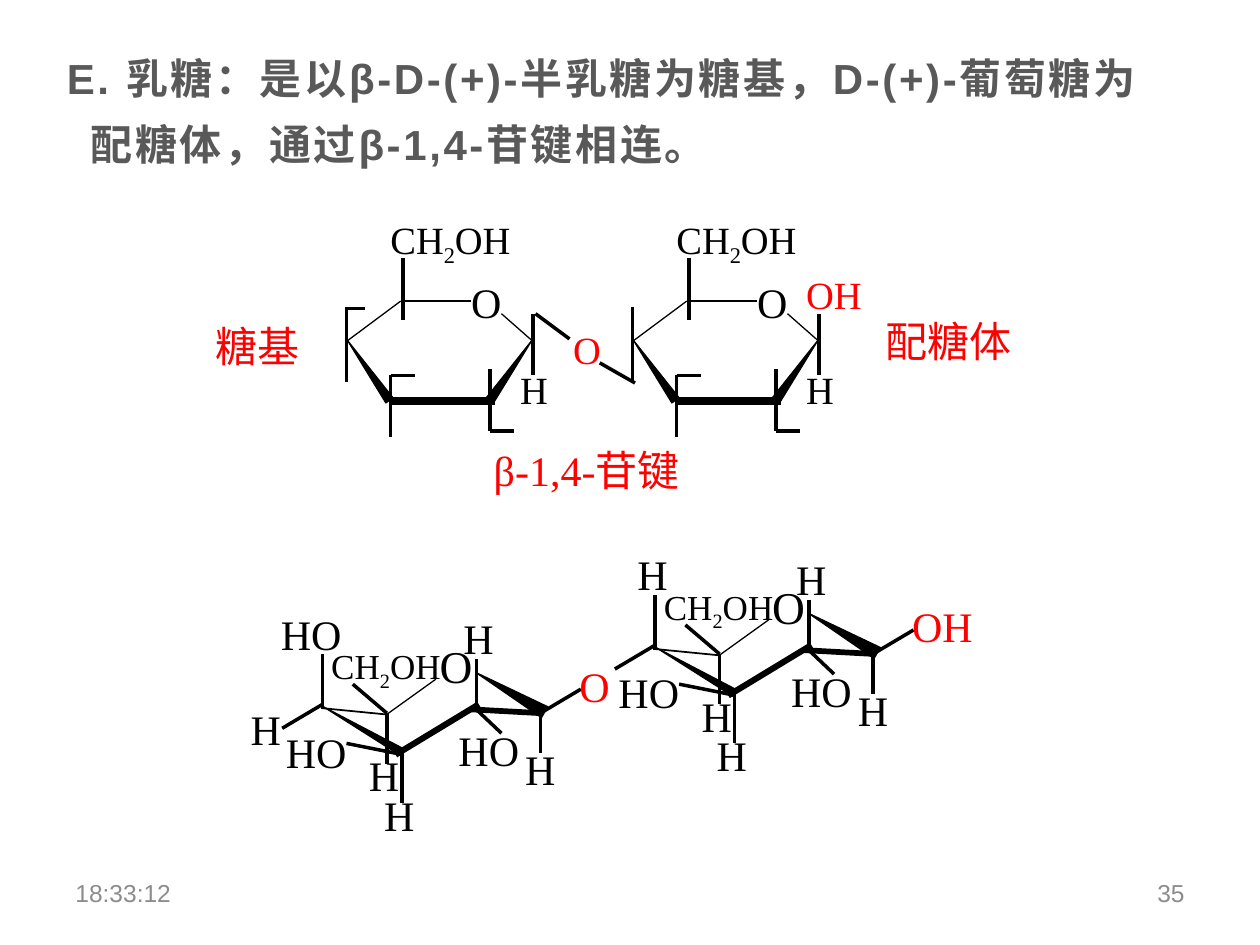
from dataclasses import dataclass

from lxml import etree
from pptx import Presentation
from pptx import util as u
from pptx.dml import color
from pptx.enum import shapes, text
from pptx.oxml import ns

Inches = u.Inches


@dataclass
class Theme:
    black: str = "000000"
    red: str = "FF0000"
    heading: str = "595959"
    footer: str = "8C8C8C"
    sans: str = "Arial"
    serif: str = "Times New Roman"
    body_size: int = 24
    ring_size: int = 22
    small_size: int = 20
    oxygen_size: int = 26
    footer_size: int = 14


theme = Theme()


def add_label(container, runs, left, top, width, size, tint=theme.black):
    height = 0.1 + size / 75
    label = container.shapes.add_textbox(Inches(left), Inches(top), Inches(width), Inches(height))
    label.text_frame.word_wrap = True
    paragraph = label.text_frame.paragraphs[0]
    paragraph.line_spacing = 0.8
    for content in runs:
        run = paragraph.add_run()
        run.text = content
        run.font.name = theme.serif
        run.font.size = u.Pt(size)
        run.font.color.rgb = color.RGBColor.from_string(tint)
        if content == "2":
            run.font._element.set("baseline", "-25000")


def add_bond(container, x1, y1, x2, y2, weight=2):
    bond = container.shapes.add_connector(
        shapes.MSO_CONNECTOR.STRAIGHT, Inches(x1), Inches(y1), Inches(x2), Inches(y2))
    bond.line.color.rgb = color.RGBColor.from_string(theme.black)
    bond.line.width = u.Pt(weight)
    etree.SubElement(bond._element.spPr, ns.qn("a:effectLst"))


presentation = Presentation()
presentation.slide_width = Inches(10)
presentation.slide_height = Inches(7.5)
slide = presentation.slides.add_slide(presentation.slide_layouts[1])
title = slide.shapes.title
title._element.getparent().remove(title._element)

body = slide.placeholders[1]
body.left, body.top, body.width, body.height = Inches(0.43), Inches(0.25), Inches(9), Inches(1.14)
body.text_frame.auto_size = text.MSO_AUTO_SIZE.NONE
paragraph = body.text_frame.paragraphs[0]
paragraph.line_spacing = 1.3
paragraph.space_before = u.Pt(0)
paragraph.space_after = u.Pt(10)
properties = paragraph._p.get_or_add_pPr()
properties.set("marL", str(Inches(0.19)))
properties.set("indent", str(Inches(-0.19)))
etree.SubElement(properties, ns.qn("a:buNone"))
run = paragraph.add_run()
run.text = "E. 乳糖：是以β-D-(+)-半乳糖为糖基，D-(+)-葡萄糖为配糖体，通过β-1,4-苷键相连。"
run.font.name = theme.sans
run.font.size = u.Pt(theme.body_size)
run.font.bold = True
run.font.color.rgb = color.RGBColor.from_string(theme.heading)
run.font._element.set("spc", "150")

hydroxymethyl = ["CH", "2", "OH"]

haworth = {
    "offsets": [(0, 0), (2.27, 0)],
    "wedges": [(2.89, 2.65, 0.07, 0.58, 325), (4.02, 2.65, 0.07, 0.58, 35)],
    "bonds": [
        (3.1, 3.18, 3.93, 3.18, 4.5),
        (2.75, 2.71, 3.18, 2.39, 0.75),
        (4.23, 2.71, 3.98, 2.49, 0.75),
        (3.18, 2.39, 3.74, 2.39, 1),
        (3.2, 2.05, 3.2, 2.54),
        (2.75, 2.44, 2.75, 3.03),
        (3.1, 2.98, 3.1, 3.47),
        (3.89, 2.93, 3.89, 3.42),
        (4.23, 2.49, 4.23, 2.98),
        (3.89, 3.42, 4.08, 3.42),
        (3.1, 2.98, 3.29, 2.98),
    ],
    "labels": [
        (hydroxymethyl, 3, 1.7, 1.18, theme.ring_size),
        (["H"], 4.03, 2.93, 0.39, theme.ring_size),
        (["O"], 3.64, 2.22, 0.41, theme.body_size),
    ],
    "linking_bonds": [
        (2.75, 2.45, 2.9, 2.45),
        (4.25, 2.49, 4.52, 2.69),
        (4.76, 2.88, 5.04, 3.04),
    ],
    "linking_labels": [
        (["O"], 4.45, 2.61, 0.39, theme.ring_size, theme.red),
        (["OH"], 6.3, 2.17, 0.71, theme.ring_size, theme.red),
    ],
}

chair = {
    "offsets": [(0, 0), (2.64, -0.47)],
    "wedges": [(4, 5.18, 0.1, 0.63, 300), (2.85, 5.43, 0.06, 0.72, 300)],
    "bonds": [
        (3.46, 5.39, 3.07, 5.67, 0.75),
        (3.14, 5.99, 3.8, 5.59, 3.5),
        (2.55, 5.62, 3.06, 5.67, 1),
        (4.29, 5.66, 3.74, 5.63, 3.25),
        (2.56, 5.19, 2.56, 5.63),
        (3.78, 5.23, 3.78, 5.63),
        (4.29, 5.66, 4.29, 5.98),
        (3.19, 5.98, 3.19, 6.37),
        (3.07, 5.66, 3.07, 6.06),
        (4.29, 5.66, 4.61, 5.47),
        (2.24, 5.78, 2.56, 5.59),
        (3.78, 5.63, 3.98, 5.82),
        (3.07, 5.66, 2.8, 5.43),
        (3.15, 5.98, 2.75, 5.9),
    ],
    "labels": [
        (hydroxymethyl, 2.53, 5.1, 1.08, theme.small_size),
        (["O"], 3.39, 5.1, 0.44, theme.oxygen_size),
        (["H"], 2.83, 5.98, 0.47, theme.body_size),
        (["H"], 2.95, 6.29, 0.47, theme.body_size),
        (["H"], 3.58, 4.89, 0.47, theme.body_size),
        (["H"], 4.07, 5.93, 0.47, theme.body_size),
        (["HO"], 2.17, 5.79, 0.75, theme.body_size),
        (["HO"], 3.54, 5.78, 0.75, theme.body_size),
    ],
    "linking_bonds": [],
    "linking_labels": [
        (["H"], 1.89, 5.61, 0.47, theme.body_size),
        (["HO"], 2.13, 4.86, 0.75, theme.body_size),
        (["H"], 4.96, 4.38, 0.47, theme.body_size),
        (["O"], 4.5, 5.27, 0.75, theme.body_size, theme.red),
        (["OH"], 7.14, 4.79, 0.75, theme.body_size, theme.red),
    ],
}

for structure in (haworth, chair):
    group = slide.shapes.add_group_shape()
    for dx, dy in structure["offsets"]:
        for left, top, width, height, angle in structure["wedges"]:
            wedge = group.shapes.add_shape(
                shapes.MSO_SHAPE.ISOSCELES_TRIANGLE,
                Inches(left + dx), Inches(top + dy), Inches(width), Inches(height))
            wedge.rotation = angle
            wedge.shadow.inherit = False
            wedge.fill.solid()
            wedge.fill.fore_color.rgb = color.RGBColor.from_string(theme.black)
            wedge.line.color.rgb = color.RGBColor.from_string(theme.black)
            wedge.line.width = u.Pt(0.75)
        for x1, y1, x2, y2, *weight in structure["bonds"]:
            add_bond(group, x1 + dx, y1 + dy, x2 + dx, y2 + dy, *weight)
        for runs, left, top, width, size in structure["labels"]:
            add_label(group, runs, left + dx, top + dy, width, size)
    for bond in structure["linking_bonds"]:
        add_bond(group, *bond)
    for label in structure["linking_labels"]:
        add_label(group, *label)

for caption, left, top, width in [
    ("β-1,4-苷键", 3.82, 3.56, 1.89),
    ("糖基", 1.61, 2.57, 1.02),
    ("配糖体", 6.93, 2.53, 1.26),
]:
    add_label(slide, [caption], left, top, width, theme.body_size, theme.red)

for content, left, alignment in [
    ("18:33:12", 0.5, text.PP_ALIGN.LEFT),
    ("35", 7.28, text.PP_ALIGN.RIGHT),
]:
    footer = slide.shapes.add_textbox(Inches(left), Inches(6.91), Inches(2.22), Inches(0.35))
    footer.text_frame.word_wrap = True
    footer.text_frame.vertical_anchor = text.MSO_ANCHOR.MIDDLE
    paragraph = footer.text_frame.paragraphs[0]
    paragraph.alignment = alignment
    run = paragraph.add_run()
    run.text = content
    run.font.name = theme.sans
    run.font.size = u.Pt(theme.footer_size)
    run.font.color.rgb = color.RGBColor.from_string(theme.footer)

presentation.save("out.pptx")
